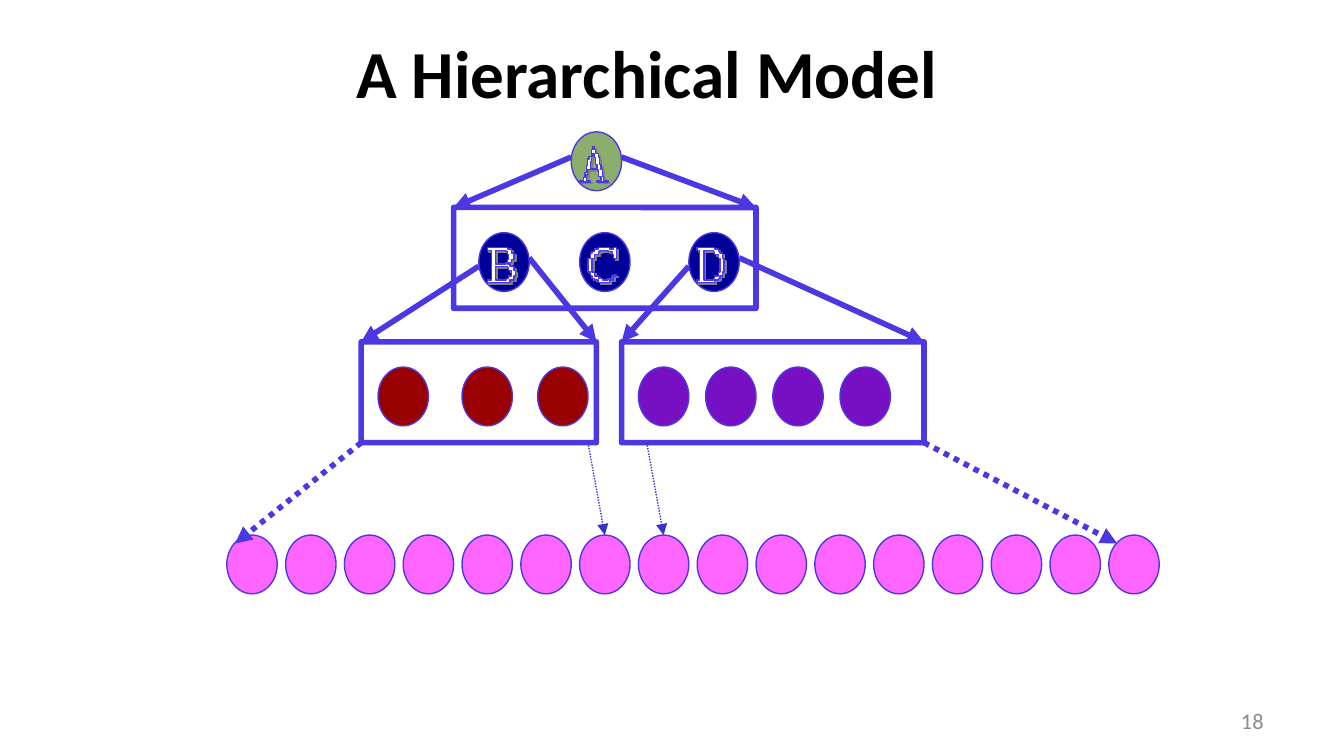
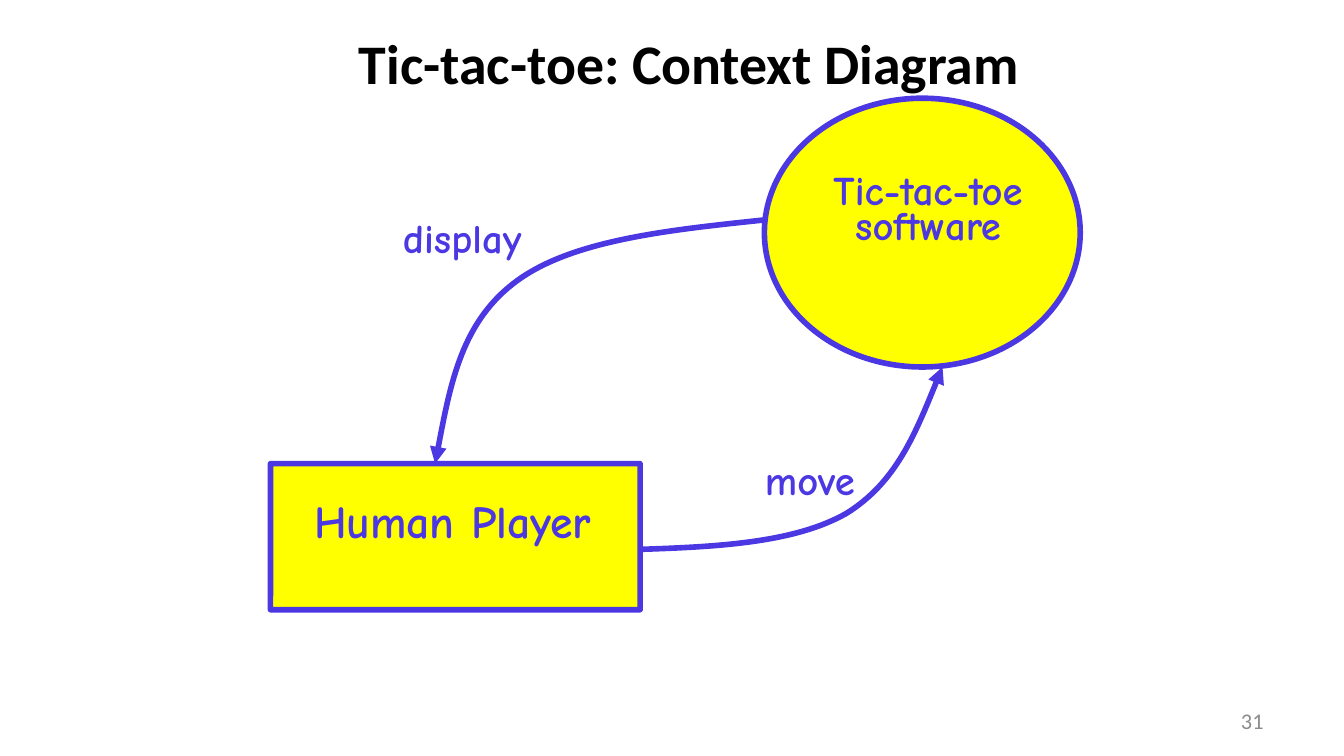
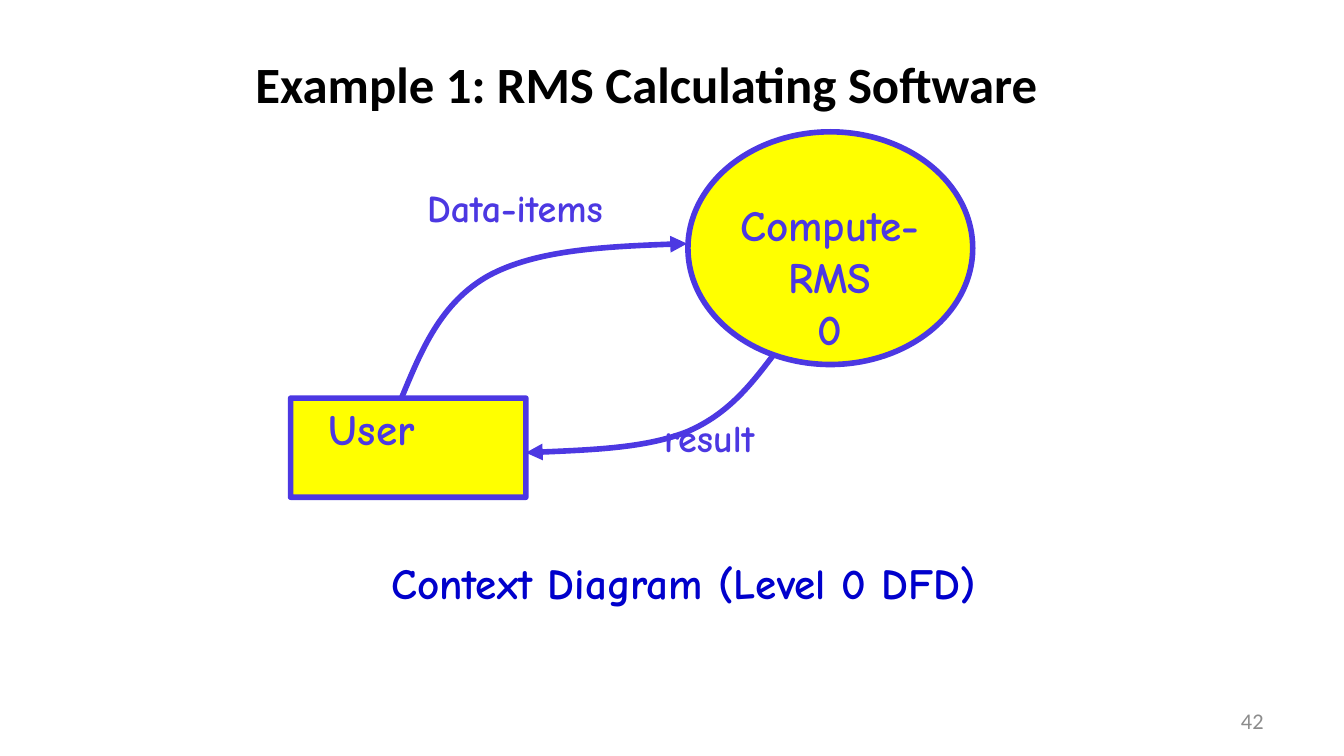
from lxml.etree import SubElement
from pptx import Presentation
from pptx.dml.color import RGBColor
from pptx.enum.dml import MSO_LINE
from pptx.enum.shapes import MSO_CONNECTOR, MSO_SHAPE
from pptx.enum.text import MSO_ANCHOR, PP_ALIGN
from pptx.oxml.ns import qn
from pptx.util import Inches, Pt

CELL = Inches(1 / 16)
COLUMNS, ROWS = 160, 90
PIXEL = Inches(0.01)

BLACK, GREY, SHADOW, WHITE = "000000", "8C8C8C", "808080", "FFFFFF"
INDIGO, BLUE, CAPTION, YELLOW = "4C38E2", "3333CC", "0000CC", "FFFF00"
GREEN, NAVY, RED, PURPLE, PINK = "8BAE6C", "000099", "990000", "7610C2", "FF66FF"

# Each contour starts at x, y and then turns at every number: x, y, x, y ...
LETTERS = {
    "A": [(10, 5, 11, 8, 12, 13, 13, 16, 8, 11, 9, 7, 10),
          (10, 0, 11, 2, 12, 5, 14, 8, 15, 13, 16, 17, 17, 22, 18, 25, 21, 26,
           13, 25, 16, 22, 14, 17, 6, 21, 5, 25, 8, 26, 0, 25, 3, 23, 4, 19,
           5, 14, 6, 9, 7, 7, 9, 2, 10)],
    "B": [(6, 2, 14, 3, 15, 5, 16, 9, 15, 11, 14, 12, 6),
          (6, 14, 15, 15, 16, 17, 18, 21, 16, 23, 14, 24, 6),
          (0, 0, 15, 1, 18, 4, 20, 9, 18, 11, 15, 12, 17, 14, 20, 17, 21, 21,
           20, 24, 17, 26, 0, 24, 3, 2, 0)],
    "C": [(8, 0, 16, 1, 19, 0, 21, 8, 19, 5, 18, 3, 15, 2, 9, 3, 8, 5, 5, 8,
           3, 18, 5, 21, 8, 23, 11, 24, 15, 23, 18, 21, 19, 20, 21, 21, 19, 24,
           16, 26, 8, 24, 5, 23, 3, 21, 2, 18, 0, 8, 2, 4, 3, 3, 5, 1, 8)],
    "D": [(5, 2, 12, 3, 13, 5, 16, 8, 17, 18, 16, 21, 13, 23, 12, 24, 5),
          (0, 0, 13, 1, 16, 3, 17, 4, 19, 8, 20, 18, 19, 21, 17, 23, 16, 24,
           13, 26, 0, 24, 2, 2, 0)],
}


def color(code):
    return RGBColor.from_string(code)


def cells(*values):
    return [round(value * CELL) for value in values]


def corners(contour):
    """Turn alternating x and y values into the corner points of an outline."""
    pairs = zip(contour, contour[1:])
    return [pair if i % 2 == 0 else pair[::-1] for i, pair in enumerate(pairs)]


class Board:
    """Draws on the current page in cells of a 160 by 90 grid."""

    def __init__(self):
        self.deck = Presentation()
        self.deck.slide_width, self.deck.slide_height = cells(COLUMNS, ROWS)
        self.shapes = None

    def page(self, title, number, at, size, before=6.7):
        blank = self.deck.slide_layouts[6]
        self.shapes = self.deck.slides.add_slide(blank).shapes
        self.text(title, (*at, 102, 14.9), size=size, font="Calibri", ink=BLACK,
                  align=PP_ALIGN.CENTER, anchor=MSO_ANCHOR.MIDDLE,
                  spacing=None, before=before)
        self.text(str(number), (114.7, 83.4, 37.3, 4.8), size=12, font="Calibri",
                  ink=GREY, bold=False, align=PP_ALIGN.RIGHT, inset=0.1,
                  anchor=MSO_ANCHOR.MIDDLE, spacing=None, before=0)

    def text(self, text, at, size, font="Comic Neue", ink=INDIGO, bold=True,
             align=PP_ALIGN.LEFT, anchor=MSO_ANCHOR.TOP, inset=0.01,
             spacing=0.72, before=10.2):
        frame = self.shapes.add_textbox(*cells(*at)).text_frame
        frame.word_wrap = True
        frame.vertical_anchor = anchor
        frame.margin_left = frame.margin_right = Inches(inset)
        frame.margin_top = frame.margin_bottom = Inches(0.04)
        para = frame.paragraphs[0]
        para.text = text
        para.alignment = align
        para.line_spacing = spacing
        para.space_before = Pt(before)
        for span in para.runs:
            span.font.name, span.font.size, span.font.bold = font, Pt(size), bold
            span.font.color.rgb = color(ink)

    def paint(self, shape, fill=None, width=0.75):
        shape.shadow.inherit = False
        if fill:
            shape.fill.solid()
            shape.fill.fore_color.rgb = color(fill)
        else:
            shape.fill.background()
        self.stroke(shape.line, width)

    def stroke(self, line, width, ink=INDIGO):
        line.width = Pt(width)
        line.color.rgb = color(ink)

    def arrowhead(self, shape):
        SubElement(shape.line._get_or_add_ln(), qn("a:tailEnd"), type="triangle")

    def ellipse(self, at, fill, width=3):
        self.paint(self.shapes.add_shape(MSO_SHAPE.OVAL, *cells(*at)), fill, width)

    def node(self, column, row, fill, letter=None):
        self.ellipse((column, row, 6, 7), fill, 0.75)
        if letter:
            self.letter(letter, column + 1, row + 1.8)

    def box(self, at, fill=None):
        shape = self.shapes.add_shape(MSO_SHAPE.ROUNDED_RECTANGLE, *cells(*at))
        shape.adjustments[0] = 0.002
        self.paint(shape, fill, 3)

    def arrow(self, start, end, width=3, ink=INDIGO, dotted=False):
        line = self.shapes.add_connector(MSO_CONNECTOR.STRAIGHT,
                                         *cells(*start, *end))
        self.stroke(line.line, width, ink)
        if dotted:
            line.line.dash_style = MSO_LINE.ROUND_DOT
        self.arrowhead(line)
        SubElement(line._element.spPr, qn("a:effectLst"))

    def curve(self, *points):
        """Draw an arrow through a start and groups of three Bezier points."""
        start, *rest = [cells(*point) for point in points]
        builder = self.shapes.build_freeform(*start)
        builder.add_line_segments(rest, close=False)
        shape = builder.convert_to_shape()
        outline = next(shape._element.iter(qn("a:path")))
        segments = outline.findall(qn("a:lnTo"))
        for first in range(0, len(segments), 3):
            bend = SubElement(outline, qn("a:cubicBezTo"))
            for segment in segments[first:first + 3]:
                bend.append(segment[0])
                outline.remove(segment)
        self.paint(shape, width=3)
        self.arrowhead(shape)

    def letter(self, name, column, row):
        first, *others = [corners(contour) for contour in LETTERS[name]]
        builder = self.shapes.build_freeform(*first[0], scale=PIXEL)
        builder.add_line_segments(first[1:])
        for contour in others:
            builder.move_to(*contour[0])
            builder.add_line_segments(contour[1:])
        shape = builder.convert_to_shape(*cells(column, row))
        self.paint(shape, WHITE)
        effects = shape._element.spPr.find(qn("a:effectLst"))
        shadow = SubElement(effects, qn("a:outerShdw"), dist=str(Pt(1.4)),
                            dir="2700000", algn="ctr", rotWithShape="0")
        SubElement(shadow, qn("a:srgbClr"), val=SHADOW)


def hierarchy(board):
    board.page("A Hierarchical Model", 18, (26, 1.1), 36)
    root, middle, lower, leaves = 15.7, 27.7, 43.7, 63.7
    middle_top, lower_top, lower_bottom = 24.7, 40.7, 52.7

    for column in (45, 55, 64):
        board.node(column, lower, RED)
    for column in range(76, 101, 8):
        board.node(column, lower, PURPLE)
    board.box((74, lower_top, 36, 12))
    board.box((43, lower_top, 28, 12))
    for start, end in (((57, 31.7), 43), ((63, 30.7), 71),
                       ((82, 31.7), 74), ((88, 30.7), 110)):
        board.arrow(start, (end, lower_top))

    board.node(68, root, GREEN, "A")
    for letter, column in (("B", 57), ("C", 69), ("D", 82)):
        board.node(column, middle, NAVY, letter)
    board.box((54, middle_top, 36, 12))
    for start, end in ((68, 54), (74, 90)):
        board.arrow((start, root + 3), (end, middle_top))

    for i in range(16):
        board.node(27 + 7 * i, leaves, PINK)
    for start, end in ((43, 28), (110, 133)):
        board.arrow((start, lower_bottom), (end, leaves + 1), dotted=True)
    for start in (70, 77):
        board.arrow((start, lower_bottom), (start + 2, leaves),
                    width=0.75, ink=BLUE, dotted=True)


def tic_tac_toe(board):
    board.page("Tic-tac-toe: Context Diagram", 31, (31, 0), 29.9)
    board.ellipse((91, 11.7, 37.6, 32), YELLOW)
    board.box((32.2, 55.2, 44, 17.4), YELLOW)
    board.text("Human Player", (31, 59.7, 45.8, 8.6), 24.5, align=PP_ALIGN.CENTER)
    board.text("Tic-tac-toe software", (92.6, 20.5, 35.8, 15.7), 21.8,
               align=PP_ALIGN.CENTER)
    board.curve((90.9, 26.2), (79.5, 27.4), (68.2, 28.6), (61.6, 33.4),
                (55, 38.2), (53.4, 46.7), (51.8, 55.2))
    board.curve((76.3, 65.4), (85.6, 65.1), (94.7, 64.6), (100.8, 61.1),
                (106.7, 57.4), (109.4, 50.6), (112.2, 43.7))
    board.text("display", (47.8, 26.2, 29.3, 8.6), 21.8)
    board.text("move", (90.9, 55, 34.2, 8.6), 21.8)


def rms_calculator(board):
    board.page(" Example 1: RMS Calculating Software", 42, (25.3, 2.4), 27.2,
               before=4.8)
    board.ellipse((81.9, 15.7, 33.9, 27.7), YELLOW)
    board.text("Compute- RMS\n0", (84.8, 23, 28, 20.5), 23.1,
               align=PP_ALIGN.CENTER, spacing=None)
    board.box((34.6, 47.4, 28, 11.8), YELLOW)
    board.text("User", (39, 48.8, 26.6, 7.8), 23.1)
    board.curve((47.8, 47.4), (50.2, 41.6), (52.5, 36), (58.2, 32.8),
                (63.8, 29.8), (72.8, 29.3), (81.8, 29))
    board.curve((92.2, 42.1), (89.4, 45.8), (86.7, 49.3), (81.8, 51.4),
                (77, 53.3), (69.8, 53.6), (62.6, 53.9))
    board.text("Data-items", (50.7, 22.7, 23.7, 12.2), 20.4, before=8.5)
    board.text("result", (78.9, 50.1, 17.8, 6.9), 20.4, before=8.5)
    board.text("Context Diagram (Level 0 DFD)", (46.4, 67.2, 85.6, 7.8), 23.1,
               ink=CAPTION)


def main():
    board = Board()
    for draw in (hierarchy, tic_tac_toe, rms_calculator):
        draw(board)
    board.deck.save("out.pptx")


if __name__ == "__main__":
    main()
